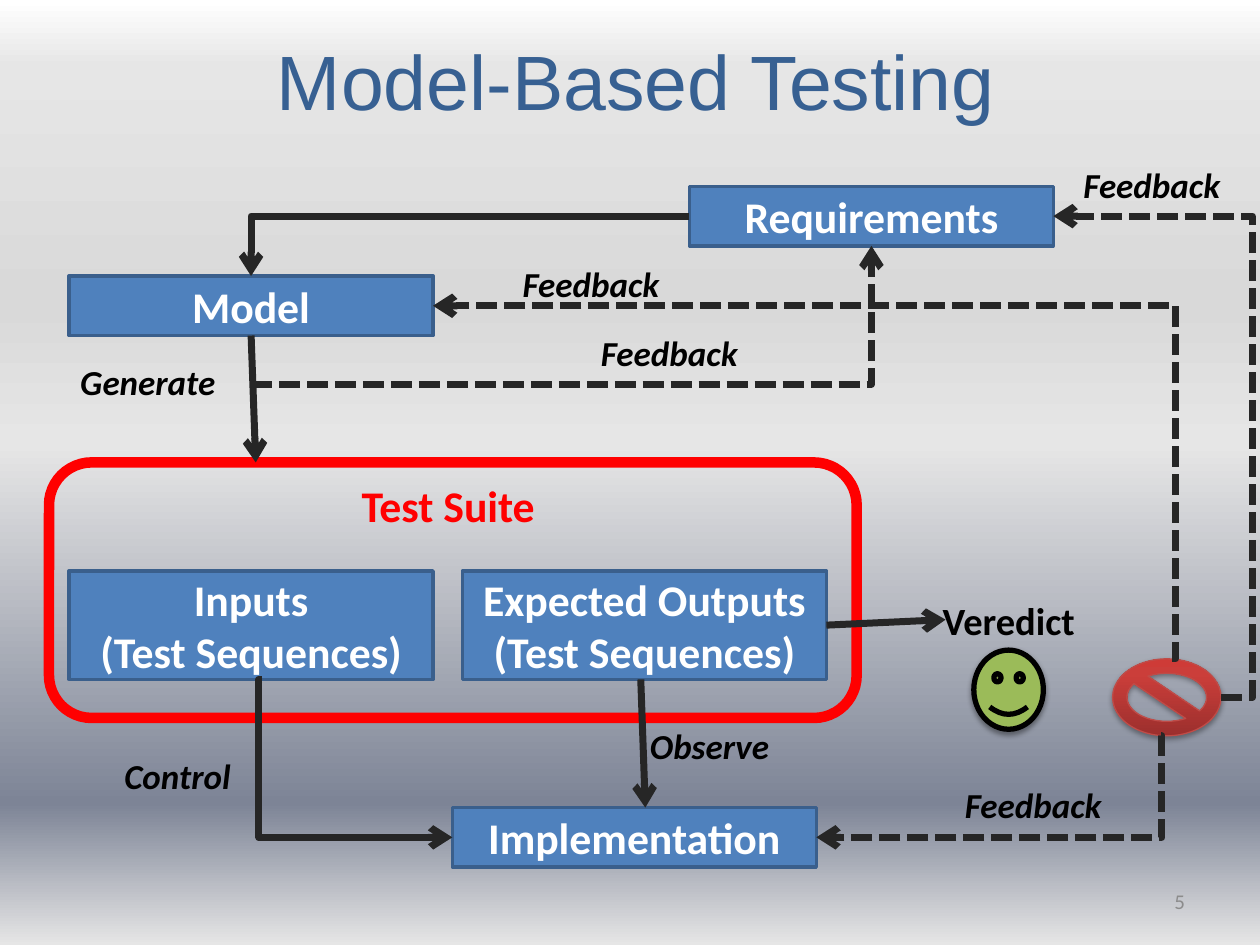
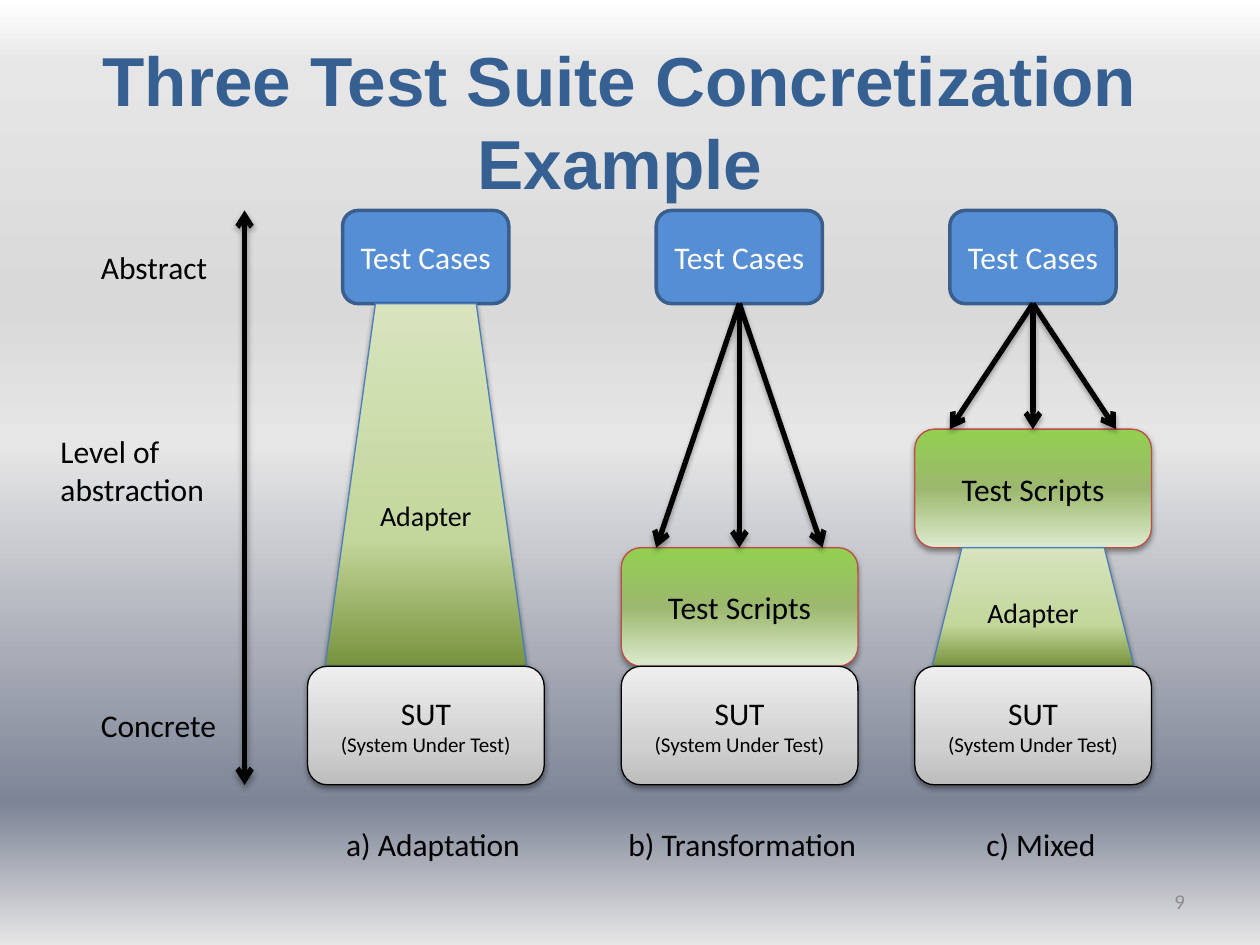
from dataclasses import dataclass

from lxml.etree import SubElement
from pptx import Presentation
from pptx.dml.color import RGBColor
from pptx.enum.dml import MSO_LINE
from pptx.enum.shapes import MSO_CONNECTOR as Route, MSO_SHAPE as Preset
from pptx.enum.text import MSO_ANCHOR as Anchor, MSO_AUTO_SIZE as AutoSize, PP_ALIGN as Align
from pptx.oxml.ns import qn
from pptx.util import Pt

BLACK = RGBColor(0x00, 0x00, 0x00)
WHITE = RGBColor(0xFF, 0xFF, 0xFF)
RED = RGBColor(0xFF, 0x00, 0x00)
TITLE_BLUE = RGBColor(0x37, 0x60, 0x92)
BOX_BLUE = RGBColor(0x4F, 0x81, 0xBD)
CASE_BLUE = RGBColor(0x55, 0x8E, 0xD5)
EDGE_BLUE = RGBColor(0x3A, 0x5F, 0x8C)
ADAPTER_EDGE = RGBColor(0x4B, 0x7E, 0xBC)
RED_EDGE = RGBColor(0xBF, 0x4C, 0x48)
SMILE_GREEN = RGBColor(0x9B, 0xBB, 0x59)
FLOW_GRAY = RGBColor(0x26, 0x26, 0x26)
PAGE_GRAY = RGBColor(0x8C, 0x8C, 0x8C)
LIGHT_GRAY = RGBColor(0xE6, 0xE6, 0xE6)

# Gradient stops: (percent, colour)
BACKDROP = [(0, WHITE), (7, LIGHT_GRAY), (32, RGBColor(0xD9, 0xD9, 0xD9)), (47, LIGHT_GRAY),
            (85, RGBColor(0x7D, 0x84, 0x96)), (100, LIGHT_GRAY)]
FAIL_REDS = [(0, RGBColor(0x9C, 0x2F, 0x2D)), (80, RGBColor(0xCB, 0x3E, 0x3A)),
             (100, RGBColor(0xCE, 0x3B, 0x37))]
ADAPTER_GREENS = [(0, RGBColor(0x77, 0x93, 0x3C)), (35, RGBColor(0xC3, 0xD6, 0x9B)),
                  (100, RGBColor(0xD7, 0xE4, 0xBD))]
SCRIPT_GREENS = [(0, RGBColor(0xDD, 0xEB, 0xCF)), (50, RGBColor(0x9C, 0xB8, 0x6E)),
                 (100, RGBColor(0x92, 0xD0, 0x50))]
SUT_GRAYS = [(0, RGBColor(0xBD, 0xBD, 0xBD)), (35, RGBColor(0xD1, 0xD1, 0xD1)),
             (100, RGBColor(0xEE, 0xEE, 0xEE))]
UPWARD, DOWNWARD = 90, 270


@dataclass
class Box:
    """A rectangle in points."""
    left: float
    top: float
    width: float
    height: float

    def at(self, across, down):
        return self.left + across * self.width, self.top + down * self.height

    def inner(self, dx, dy, width, height):
        return Box(self.left + dx, self.top + dy, width, height)

    def lengths(self):
        return Pt(self.left), Pt(self.top), Pt(self.width), Pt(self.height)


# Shared drawing helpers
def paint_gradient(fill, element, stops, angle):
    fill.gradient()
    fill.gradient_angle = angle
    stop_list = element.xpath(".//a:gsLst")[0]
    stop_list.clear()
    for percent, colour in stops:
        stop = SubElement(stop_list, qn("a:gs"), pos=str(percent * 1000))
        SubElement(stop, qn("a:srgbClr"), val=str(colour))


def cast_shadow(effects, opacity, distance):
    shadow = SubElement(effects, qn("a:outerShdw"), blurRad=str(Pt(3.1)), dist=str(Pt(distance)),
                        dir="5400000", rotWithShape="0")
    colour = SubElement(shadow, qn("a:srgbClr"), val=str(BLACK))
    SubElement(colour, qn("a:alpha"), val=str(opacity * 1000))


def write(frame, lines, size, colour, align=Align.CENTER, bold=False, italic=False,
          font="Calibri", small=None):
    """Fill a text frame; lines after the first use the small size, if given."""
    frame.word_wrap = True
    frame.text = lines
    for index, paragraph in enumerate(frame.paragraphs):
        paragraph.alignment = align
        for run in paragraph.runs:
            run.font.name = font
            run.font.size = Pt(small if small and index else size)
            run.font.bold, run.font.italic = bold, italic
            run.font.color.rgb = colour


def add_label(slide, box, text, size=18, colour=BLACK, **style):
    frame = slide.shapes.add_textbox(*box.lengths()).text_frame
    write(frame, text, size, colour, **style)
    return frame


def add_block(slide, preset, box, fill, edge, edge_width=0.75, shadow=None):
    """Draw a preset shape; fill is a colour, a list of stops or None."""
    block = slide.shapes.add_shape(preset, *box.lengths())
    block.shadow.inherit = False
    if fill is None:
        block.fill.background()
    elif isinstance(fill, list):
        paint_gradient(block.fill, block.element, fill, UPWARD)
    else:
        block.fill.solid()
        block.fill.fore_color.rgb = fill
    block.line.color.rgb = edge
    block.line.width = Pt(edge_width)
    block.text_frame.vertical_anchor = Anchor.MIDDLE
    if shadow:
        cast_shadow(block.element.xpath(".//a:effectLst")[0], *shadow)
    return block


def add_arrow(slide, start, end, colour, width, bend=None, dashed=False, both=False, shadow=None):
    """Draw an arrow; bend is "corner" for one turn or the place of the middle leg."""
    route = Route.STRAIGHT if bend is None else Route.ELBOW
    arrow = slide.shapes.add_connector(route, *(Pt(value) for value in (*start, *end)))
    arrow.line.color.rgb = colour
    arrow.line.width = Pt(width)
    if dashed:
        arrow.line.dash_style = MSO_LINE.SQUARE_DOT
    outline = arrow.element.xpath(".//a:ln")[0]
    for tip in ("a:headEnd", "a:tailEnd") if both else ("a:tailEnd",):
        SubElement(outline, qn(tip), type="arrow")
    effects = SubElement(arrow.element.spPr, qn("a:effectLst"))
    if shadow:
        cast_shadow(effects, *shadow)
    geometry = arrow.element.xpath(".//a:prstGeom")[0]
    if bend == "corner":
        geometry.set("prst", "bentConnector2")
    elif bend is not None:
        SubElement(geometry.find(qn("a:avLst")), qn("a:gd"), name="adj1",
                   fmla=f"val {round(bend * 100000)}")


def add_titled_slide(deck, title, box, size, number, bold=False):
    slide = deck.slides.add_slide(deck.slide_layouts[5])
    heading = slide.shapes.title
    heading.left, heading.top, heading.width, heading.height = box.lengths()
    write(heading.text_frame, title, size, TITLE_BLUE, bold=bold, font="Arial")
    heading.text_frame.auto_size = AutoSize.NONE
    heading.text_frame.vertical_anchor = Anchor.MIDDLE
    page = add_label(slide, Box(516.25, 500.5, 168, 28.75), number, 12, PAGE_GRAY,
                     align=Align.RIGHT)
    page.vertical_anchor = Anchor.MIDDLE
    return slide


# Slide 1: model-based testing
STEP_WIDTH, STEP_HEIGHT, TALL_STEP = 208, 34, 62


def add_step(slide, box, text):
    block = add_block(slide, Preset.RECTANGLE, box, BOX_BLUE, EDGE_BLUE, 2)
    write(block.text_frame, text, 25, WHITE, bold=True)


def add_note(slide, left, top, text):
    add_label(slide, Box(left, top, 124, 31.5), text, 20, bold=True, italic=True)


def add_flow(slide, start, end, **style):
    add_arrow(slide, start, end, FLOW_GRAY, 4, **style)


def draw_sources(slide, area):
    requirements = area.inner(354.5, 0, STEP_WIDTH, STEP_HEIGHT)
    model = area.inner(0, 51.25, STEP_WIDTH, STEP_HEIGHT)
    add_step(slide, requirements, "Requirements")
    add_step(slide, model, "Model")
    add_flow(slide, requirements.at(0, 0.5), model.at(0.5, 0), bend="corner")
    add_note(slide, area.left - 17, area.top + 96, "Generate")
    return requirements, model


def draw_test_suite(slide, suite):
    inputs = suite.inner(11.5, 62, STEP_WIDTH, TALL_STEP)
    outputs = suite.inner(236.25, 62, STEP_WIDTH, TALL_STEP)
    add_step(slide, inputs, "Inputs\n(Test Sequences)")
    add_step(slide, outputs, "Expected Outputs\n(Test Sequences)")
    add_block(slide, Preset.ROUNDED_RECTANGLE, suite, None, RED, 6)
    add_label(slide, suite.inner(158, 5.75, 140.25, 37.5), "Test Suite", 25, RED, bold=True)
    return inputs, outputs


def draw_implementation(slide, box, inputs, outputs):
    add_step(slide, box, "Implementation")
    add_flow(slide, inputs.at(0.53, 1), box.at(0, 0.5), bend=-0.016)
    add_note(slide, box.left - 219, box.top - 33.75, "Control")
    add_flow(slide, outputs.at(0.49, 1), box.at(0.53, 0))
    add_note(slide, box.left + 85, box.top - 51, "Observe")


def draw_verdict(slide, area, outputs):
    add_label(slide, area.inner(0, 0, 95.75, 34), "Veredict", 22, bold=True)
    add_flow(slide, outputs.at(1, 0.5), area.at(0.07, 0.2))
    smile = add_block(slide, Preset.SMILEY_FACE, area.inner(28, 34, 39.75, 45.25),
                      SMILE_GREEN, BLACK, 3, (38, 1.6))
    smile.adjustments[0] = 0.047
    failure = area.inner(107.25, 39, 62, 44)
    add_block(slide, Preset.NO_SYMBOL, failure, FAIL_REDS, RED_EDGE, shadow=(35, 1.8))
    return failure


def draw_feedback(slide, requirements, model, implementation, failure):
    loops = [
        ((143.5, 219.5), requirements.at(0.5, 1), "corner", (320.5, 185.75)),
        (failure.at(0.45, 1), implementation.at(1, 0.5), -0.002, (528.5, 444.25)),
        (failure.at(0.55, 0), model.at(1, 0.5), -0.005, (275.75, 146.25)),
        (failure.at(1, 0.5), requirements.at(1, 0.5), -0.188, (596.25, 90)),
    ]
    for start, end, bend, note_place in loops:
        add_flow(slide, start, end, bend=bend, dashed=True)
        add_note(slide, *note_place, "Feedback")


def build_testing_slide(deck):
    slide = add_titled_slide(deck, "Model-Based Testing", Box(39.5, 11.5, 648, 68.5), 44, "5")
    suite = Box(28, 264.25, 461.5, 146)
    implementation = Box(258.5, 461.5, STEP_WIDTH, STEP_HEIGHT)
    requirements, model = draw_sources(slide, Box(39.5, 106.5, 562.5, 85))
    inputs, outputs = draw_test_suite(slide, suite)
    add_flow(slide, model.at(0.5, 1), suite.at(0.256, 0))
    draw_implementation(slide, implementation, inputs, outputs)
    failure = draw_verdict(slide, Box(528.5, 337.5, 169.25, 83), outputs)
    draw_feedback(slide, requirements, model, implementation, failure)


# Slide 2: concretization
TIER = 67.75
SOFT, FIRM = (38, 1.6), (35, 1.8)


def draw_abstraction_axis(slide, area):
    add_arrow(slide, area.at(1, 0), area.at(1, 1), BLACK, 3, both=True, shadow=FIRM)
    for dx, dy, width, height, text in [(23, 18, 89.25, 29, "Abstract"),
                                        (0, 123.25, 112.25, 51, "Level of abstraction"),
                                        (23, 279.5, 89.25, 29, "Concrete")]:
        add_label(slide, area.inner(dx, dy, width, height), text, align=Align.LEFT)


def draw_adapter(slide, box):
    adapter = add_block(slide, Preset.TRAPEZOID, box, ADAPTER_GREENS, ADAPTER_EDGE, shadow=SOFT)
    write(adapter.text_frame, "Adapter", 16, BLACK)


def draw_strategy(slide, area, script_tier, caption, caption_shift, caption_width):
    """Stack one strategy; script_tier counts tiers above the SUT, 0 for no scripts."""
    cases = area.inner(20, 0, 95, 53.25)
    sut = area.inner(0, area.height - TIER, area.width, TIER)
    case_block = add_block(slide, Preset.ROUNDED_RECTANGLE, cases, CASE_BLUE, EDGE_BLUE, 2)
    write(case_block.text_frame, "Test Cases", 18, WHITE)
    upper = cases
    if script_tier:
        upper = sut.inner(0, -script_tier * TIER, sut.width, TIER)
        scripts = add_block(slide, Preset.ROUNDED_RECTANGLE, upper, SCRIPT_GREENS, RED_EDGE,
                            shadow=SOFT)
        write(scripts.text_frame, "Test Scripts", 18, BLACK)
        for across in (0, 0.5, 1):
            add_arrow(slide, cases.at(0.5, 1), (cases.at(across, 1)[0], upper.top), BLACK, 3,
                      shadow=FIRM)
    if script_tier != 1:
        top = upper.top + upper.height
        draw_adapter(slide, Box(area.left + 10, top, 115.25, sut.top - top))
    system = add_block(slide, Preset.ROUNDED_RECTANGLE, sut, SUT_GRAYS, BLACK, shadow=SOFT)
    write(system.text_frame, "SUT\n(System Under Test)", 18, BLACK, small=12)
    add_label(slide, area.inner(caption_shift, area.height + 19.5, caption_width, 29), caption,
              align=Align.LEFT)


def build_concretization_slide(deck):
    slide = add_titled_slide(deck, "Three Test Suite Concretization Example",
                             Box(36.75, 26, 635, 85), 39.6, "9", bold=True)
    top, height = 120.25, 328.25
    draw_abstraction_axis(slide, Box(27.5, top, 112.25, height))
    for left, tier, caption, shift, width in [(175.75, 0, "a) Adaptation", 15, 120.25),
                                              (355, 1, "b) Transformation", -3, 155.5),
                                              (522.75, 2, "c) Mixed", 33.75, 81.5)]:
        draw_strategy(slide, Box(left, top, 135.25, height), tier, caption, shift, width)


def main():
    deck = Presentation()
    deck.slide_width, deck.slide_height = Pt(720), Pt(540)
    master = deck.slide_master
    paint_gradient(master.background.fill, master.element, BACKDROP, DOWNWARD)
    build_testing_slide(deck)
    build_concretization_slide(deck)
    deck.save("out.pptx")


if __name__ == "__main__":
    main()
